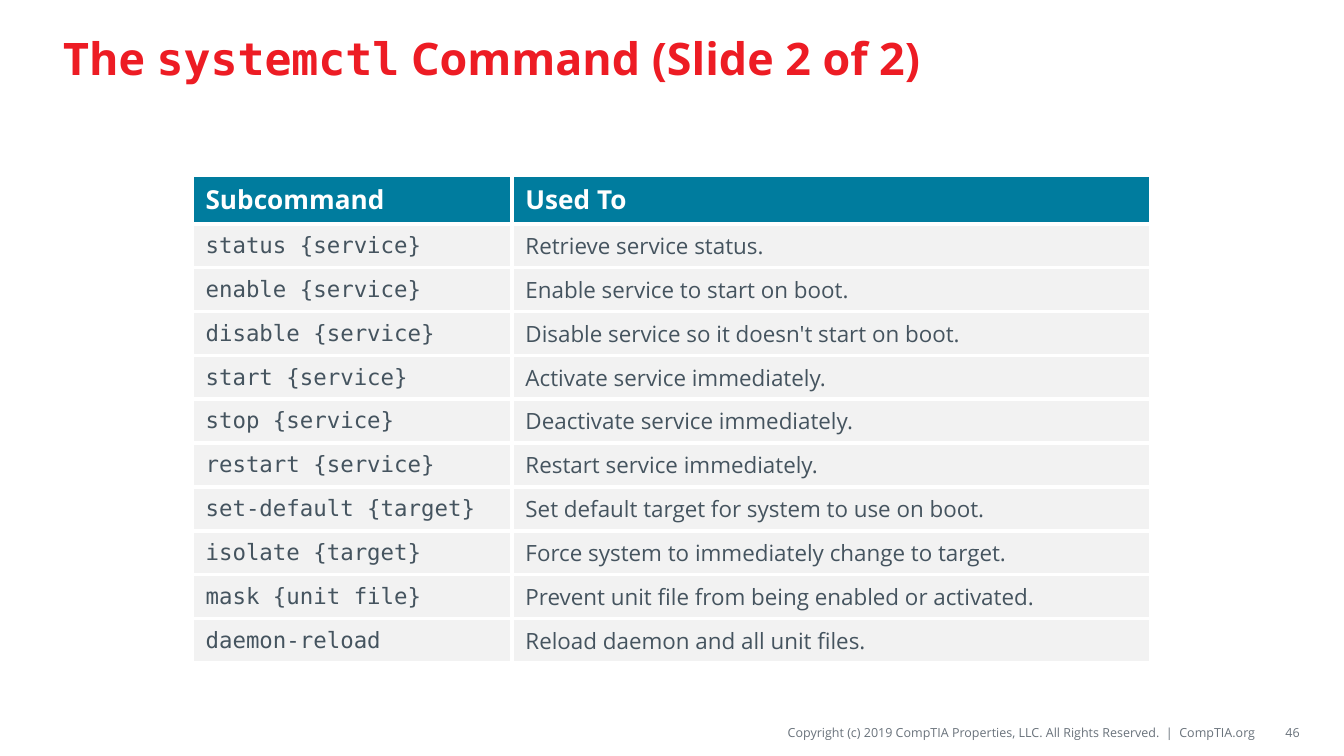
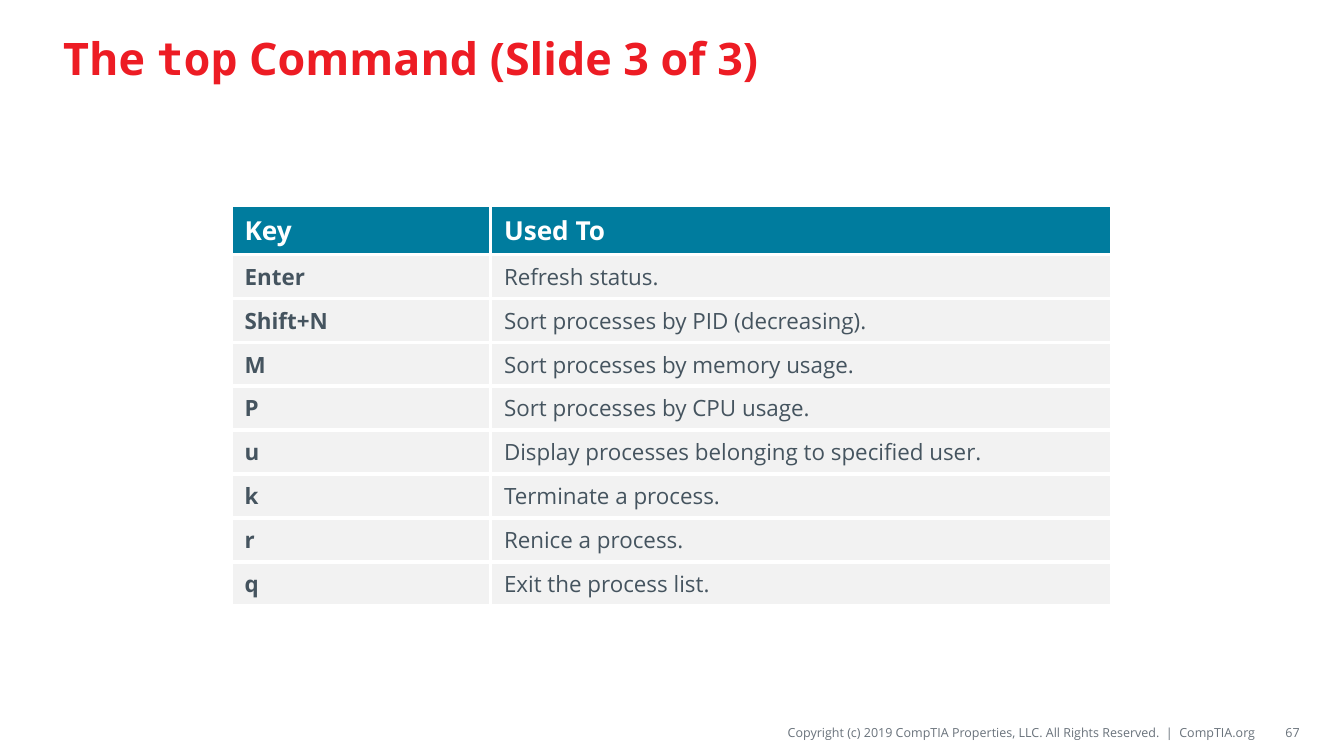
from lxml import etree
from pptx import Presentation
from pptx.dml.color import RGBColor
from pptx.enum import text
from pptx.oxml import ns
from pptx.util import Inches, Pt

SANS, MONO = "Open Sans", "DejaVu Sans Mono"
RED, TEAL, SLATE = "ED1C24", "007C9E", "45545F"
GRAY, PALE, WHITE = "69727B", "F2F2F2", "FFFFFF"
COPYRIGHT = ("Copyright (c) 2019 CompTIA Properties, LLC. "
             "All Rights Reserved.  |  CompTIA.org")
HEADER_HEIGHT = 26.3 / 72
ROW_HEIGHT = 23.5 / 72
RULE_WIDTH = 2.25

SYSTEMCTL_ROWS = [
    ("status {service}", "Retrieve service status."),
    ("enable {service}", "Enable service to start on boot."),
    ("disable {service}", "Disable service so it doesn't start on boot."),
    ("start {service}", "Activate service immediately."),
    ("stop {service}", "Deactivate service immediately."),
    ("restart {service}", "Restart service immediately."),
    ("set-default {target}", "Set default target for system to use on boot."),
    ("isolate {target}", "Force system to immediately change to target."),
    ("mask {unit file}", "Prevent unit file from being enabled or activated."),
    ("daemon-reload", "Reload daemon and all unit files."),
]
TOP_ROWS = [
    ("Enter", "Refresh status."),
    ("Shift+N", "Sort processes by PID (decreasing)."),
    ("M", "Sort processes by memory usage."),
    ("P", "Sort processes by CPU usage."),
    ("u", "Display processes belonging to specified user."),
    ("k", "Terminate a process."),
    ("r", "Renice a process."),
    ("q", "Exit the process list."),
]


def color(value):
    return RGBColor.from_string(value)


def add_run(paragraph, words, size, ink, font=SANS, bold=False):
    run = paragraph.add_run()
    run.text = words
    run.font.name = font
    run.font.size = Pt(size)
    run.font.bold = bold
    run.font.color.rgb = color(ink)


def add_borders(cell):
    properties = cell._tc.get_or_add_tcPr()
    for side in ("lnL", "lnR", "lnT", "lnB"):
        line = etree.SubElement(properties, ns.qn(f"a:{side}"), w=str(Pt(RULE_WIDTH)))
        fill = etree.SubElement(line, ns.qn("a:solidFill"))
        etree.SubElement(fill, ns.qn("a:srgbClr"), val=WHITE)


class Deck:
    def __init__(self):
        self.presentation = Presentation()
        self.presentation.slide_width = Inches(10)
        self.presentation.slide_height = Inches(10 * 9 / 16)
        self.slide = None

    def add_slide(self, command, part, number):
        """Start a slide with its title, copyright line and number."""
        layout = self.presentation.slide_layouts[5]
        self.slide = self.presentation.slides.add_slide(layout)
        self.footer(COPYRIGHT, 3.88, 5.47, (0, 0.04))
        self.title(command, part)
        self.footer(str(number), 9.38, 0.29, (0.1, 0.05))

    def title(self, command, part):
        title = self.slide.shapes.title
        title.left, title.top = Inches(0.37), Inches(0.08)
        title.width, title.height = Inches(9.25), Inches(0.69)
        frame = title.text_frame
        frame.auto_size = text.MSO_AUTO_SIZE.NONE
        frame.vertical_anchor = text.MSO_ANCHOR.MIDDLE
        heading = frame.paragraphs[0]
        heading.alignment = text.PP_ALIGN.LEFT
        for words, font in (("The ", SANS), (command, MONO), (f" Command ({part})", SANS)):
            add_run(heading, words, 24, RED, font, bold=True)

    def footer(self, words, left, width, insets):
        box = self.slide.shapes.add_textbox(
            Inches(left), Inches(5.34), Inches(width), Inches(0.22))
        frame = box.text_frame
        frame.word_wrap = True
        frame.vertical_anchor = text.MSO_ANCHOR.MIDDLE
        frame.margin_left, frame.margin_right = Inches(insets[0]), 0
        frame.margin_top = frame.margin_bottom = Inches(insets[1])
        line = frame.paragraphs[0]
        line.alignment = text.PP_ALIGN.RIGHT
        add_run(line, words, 6.75, GRAY)

    def table(self, left, top, widths, headers, rows, **key_style):
        """Add a two-column table; key_style formats the first column's body."""
        heights = [HEADER_HEIGHT] + [ROW_HEIGHT] * len(rows)
        table = self.slide.shapes.add_table(
            len(heights), len(widths), Inches(left), Inches(top),
            Inches(sum(widths)), Inches(sum(heights))).table
        table.horz_banding = False
        for column, width in zip(table.columns, widths):
            column.width = Inches(width)
        for row, height in zip(table.rows, heights):
            row.height = Inches(height)
        for cell, header in zip(table.rows[0].cells, headers):
            self.cell(cell, header, TEAL, 14, WHITE, bold=True)
        for r, (key, purpose) in enumerate(rows, start=1):
            self.cell(table.cell(r, 0), key, PALE, 12, SLATE, **key_style)
            self.cell(table.cell(r, 1), purpose, PALE, 12, SLATE)

    def cell(self, cell, words, fill, size, ink, **style):
        add_borders(cell)
        cell.fill.solid()
        cell.fill.fore_color.rgb = color(fill)
        cell.vertical_anchor = text.MSO_ANCHOR.MIDDLE
        add_run(cell.text_frame.paragraphs[0], words, size, ink, **style)


def main():
    deck = Deck()
    deck.add_slide("systemctl", "Slide 2 of 2", 46)
    deck.table(1.43, 1.3, (2.38, 4.75), ("Subcommand", "Used To"),
               SYSTEMCTL_ROWS, font=MONO)
    deck.add_slide("top", "Slide 3 of 3", 67)
    deck.table(1.72, 1.53, (1.93, 4.62), ("Key", "Used To"), TOP_ROWS, bold=True)
    deck.presentation.save("out.pptx")


if __name__ == "__main__":
    main()
